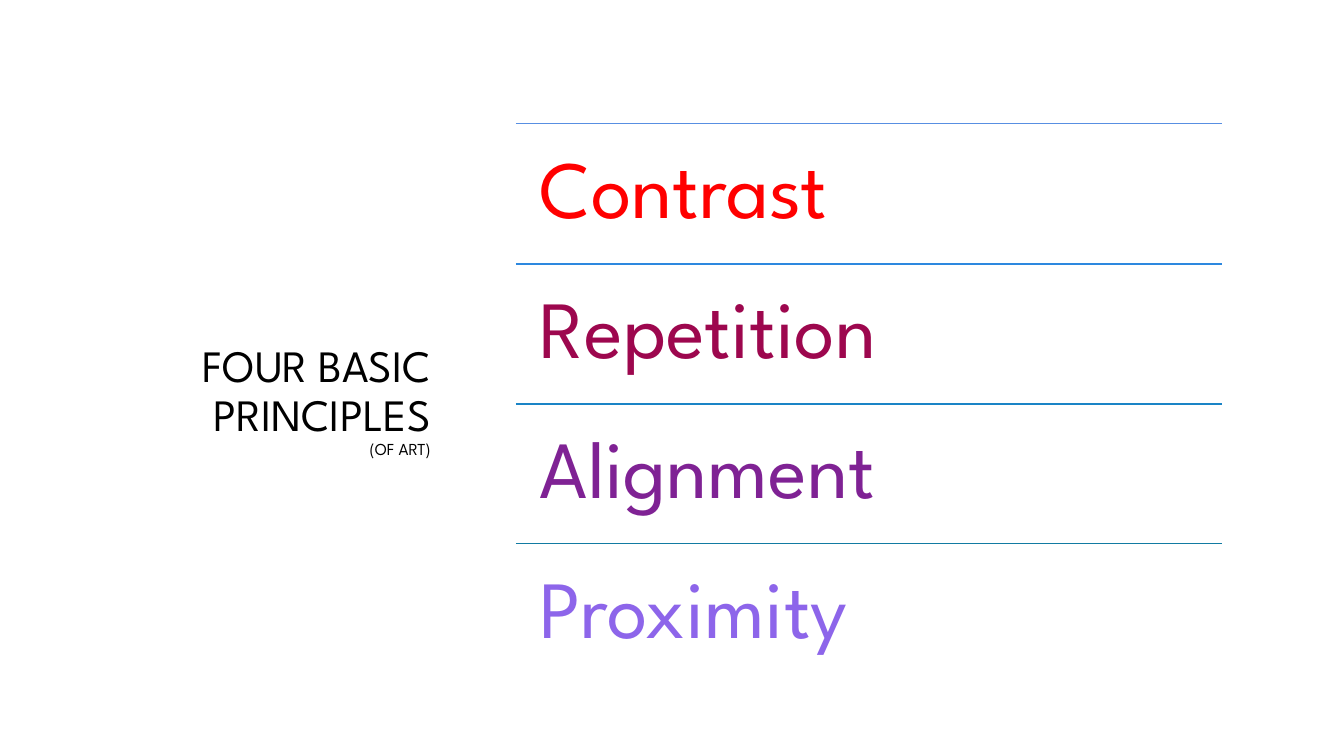
"""Build a slide that lists the four basic principles of art."""
from dataclasses import dataclass

from lxml import etree
from pptx import Presentation
from pptx.dml.color import RGBColor
from pptx.enum.shapes import MSO_CONNECTOR
from pptx.enum.text import MSO_ANCHOR, MSO_AUTO_SIZE, PP_ALIGN
from pptx.oxml.ns import qn
from pptx.slide import Slide
from pptx.util import Emu, Pt

STRAIGHT = MSO_CONNECTOR.STRAIGHT
TOP, MIDDLE = MSO_ANCHOR.TOP, MSO_ANCHOR.MIDDLE
NO_AUTOFIT = MSO_AUTO_SIZE.NONE
RIGHT = PP_ALIGN.RIGHT

SLIDE_W, SLIDE_H = 1344, 756
EMU_PER_PX = 12192000 / SLIDE_W
FONT = "League Spartan"
LIST_X, LIST_Y, LIST_W, ROW_H = 516, 124, 706, 140
ROW_INSET = 24

BLACK = RGBColor(0x00, 0x00, 0x00)
RED = RGBColor(0xFF, 0x00, 0x00)
CRIMSON = RGBColor(0x9D, 0x07, 0x4E)
PURPLE = RGBColor(0x7F, 0x22, 0x94)
VIOLET = RGBColor(0x8D, 0x65, 0xEA)
PERIWINKLE = RGBColor(0x58, 0x8F, 0xE2)
AZURE = RGBColor(0x2D, 0x88, 0xDF)
BLUE = RGBColor(0x1A, 0x84, 0xC6)
TEAL = RGBColor(0x12, 0x7B, 0xA2)


@dataclass(frozen=True)
class Principle:
    """A principle with its text and rule colours."""

    name: str
    color: RGBColor
    rule: RGBColor


PRINCIPLES = [
    Principle("Contrast", RED, PERIWINKLE),
    Principle("Repetition", CRIMSON, AZURE),
    Principle("Alignment", PURPLE, BLUE),
    Principle("Proximity", VIOLET, TEAL),
]


def px(n: int) -> Emu:
    """Turn pixels into EMU."""
    return Emu(round(n * EMU_PER_PX))


def add_title(s: Slide) -> None:
    """Fill and place the title placeholder."""
    sp = s.shapes.title
    sp.left, sp.top, sp.width, sp.height = px(76), px(118), px(365), px(567)
    tf = sp.text_frame
    tf.word_wrap = True
    tf.auto_size = NO_AUTOFIT
    tf.vertical_anchor = MIDDLE
    p = tf.paragraphs[0]
    p.alignment = RIGHT
    p.line_spacing = 0.9
    p.font.name = FONT
    p.font.size = Pt(32)
    p.font.color.rgb = BLACK
    p.add_run().text = "FOUR BASIC PRINCIPLES"
    p.add_line_break()
    r = p.add_run()
    r.text = "(OF ART)"
    r.font.size = Pt(12)


def add_rule(s: Slide, y: int, color: RGBColor) -> None:
    """Draw the thin rule above a principle."""
    line = s.shapes.add_connector(
        STRAIGHT, px(LIST_X), px(y), px(LIST_X + LIST_W), px(y)
    )
    line.line.color.rgb = color
    line.line.width = Pt(0.75)
    etree.SubElement(line._element.spPr, qn("a:effectLst"))


def add_principle(s: Slide, y: int, principle: Principle) -> None:
    """Draw one principle under its rule."""
    add_rule(s, y, principle.rule)
    sp = s.shapes.add_textbox(px(LIST_X), px(y), px(LIST_W), px(ROW_H))
    tf = sp.text_frame
    tf.word_wrap = True
    tf.vertical_anchor = TOP
    tf.margin_left = tf.margin_right = px(ROW_INSET)
    tf.margin_top = tf.margin_bottom = px(ROW_INSET)
    p = tf.paragraphs[0]
    p.text = principle.name
    p.line_spacing = 0.9
    p.font.name = FONT
    p.font.size = Pt(58)
    p.font.color.rgb = principle.color


def main() -> None:
    """Build and save the presentation."""
    prs = Presentation()
    prs.slide_width, prs.slide_height = px(SLIDE_W), px(SLIDE_H)
    s = prs.slides.add_slide(prs.slide_layouts[5])
    add_title(s)
    for i, principle in enumerate(PRINCIPLES):
        add_principle(s, LIST_Y + i * ROW_H, principle)
    prs.save("out.pptx")


if __name__ == "__main__":
    main()
